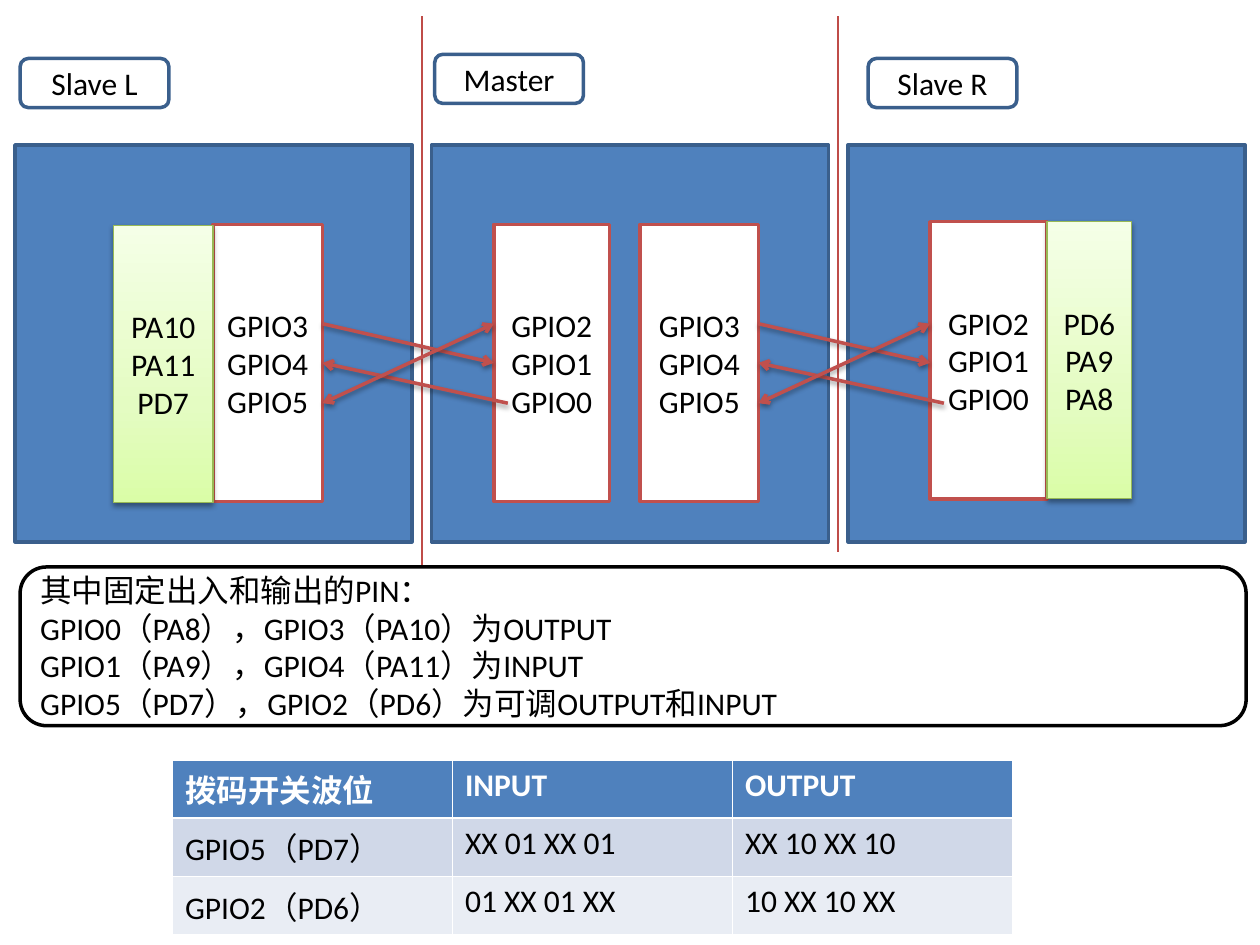
from copy import deepcopy
from lxml.etree import SubElement
from pptx import Presentation
from pptx.dml.color import RGBColor
from pptx.enum.shapes import MSO_CONNECTOR, MSO_SHAPE
from pptx.enum.text import MSO_ANCHOR, PP_ALIGN
from pptx.oxml import parse_xml
from pptx.oxml.ns import qn
from pptx.util import Pt

BLUE, NAVY, RED = "4F81BD", "3A5F8C", "C0504D"
WHITE, BLACK = "FFFFFF", "000000"
GREENS = [(0, "DAFDA7"), (0.35, "E4FCC2"), (1, "F5FFE7")]
SHADOW = (
    '<a:effectLst xmlns:a="http://schemas.openxmlformats.org/drawingml/2006/main">'
    '<a:outerShdw blurRad="39400" dist="20000" dir="5400000" rotWithShape="0">'
    '<a:srgbClr val="000000"><a:alpha val="38000"/></a:srgbClr>'
    '</a:outerShdw></a:effectLst>'
)


def paint(color, code):
    color.rgb = RGBColor.from_string(code)


def style(frame, code=BLACK, align=None, bold=False):
    for para in frame.paragraphs:
        para.alignment = align
        for run in para.runs:
            font = run.font
            font.name, font.size, font.bold = "Calibri", Pt(18), bold
            paint(font.color, code)


def box(slide, kind, rect, fill, line, text="", width=2, align=PP_ALIGN.CENTER):
    shape = slide.shapes.add_shape(kind, *map(Pt, rect))
    shape.shadow.inherit = False
    shape.fill.solid()
    paint(shape.fill.fore_color, fill)
    paint(shape.line.color, line)
    shape.line.width = Pt(width)
    if text:
        frame = shape.text_frame
        frame.text = text
        frame.vertical_anchor = MSO_ANCHOR.MIDDLE
        style(frame, align=align)
    return shape


def shade(shape):
    props = shape._element.spPr
    for old in props.findall(qn("a:effectLst")):
        props.remove(old)
    props.append(parse_xml(SHADOW))


def green(slide, rect, text):
    cell = box(slide, MSO_SHAPE.RECTANGLE, rect, WHITE, "98B955", text, 0.75)
    fill = cell.fill
    fill.gradient()
    fill.gradient_angle = 90
    stops = cell._element.spPr.find(".//" + qn("a:gsLst"))
    stops.insert(1, deepcopy(stops[0]))
    for stop, (place, code) in zip(fill.gradient_stops, GREENS):
        stop.position = place
        paint(stop.color, code)
    shade(cell)


def rule(slide, start, end, code, width):
    line = slide.shapes.add_connector(
        MSO_CONNECTOR.STRAIGHT, *map(Pt, start + end))
    paint(line.line.color, code)
    line.line.width = Pt(width)
    SubElement(line._element.spPr, qn("a:effectLst"))
    return line


def arrow(slide, start, end, both=False):
    line = rule(slide, start, end, RED, 2)
    stroke = line.line._get_or_add_ln()
    for tag in ["a:headEnd"] * both + ["a:tailEnd"]:
        SubElement(stroke, qn(tag), type="arrow")
    shade(line)


def grid(slide, rows, rect):
    table = slide.shapes.add_table(
        len(rows), len(rows[0]), *map(Pt, rect)).table
    fills = [BLUE, "D0D8E8", "E9EDF4"]
    for r, row in enumerate(rows):
        for c, text in enumerate(row):
            cell = table.cell(r, c)
            cell.fill.solid()
            paint(cell.fill.fore_color, fills[r])
            cell.text_frame.text = text
            style(cell.text_frame, BLACK if r else WHITE, bold=r == 0)


def main():
    deck = Presentation()
    deck.slide_width, deck.slide_height = Pt(720), Pt(540)
    slide = deck.slides.add_slide(deck.slide_layouts[6])

    # Boards and the dividers between them
    for n in range(3):
        box(slide, MSO_SHAPE.RECTANGLE, (8.6 + 238 * n, 82.8, 226.8, 226.8),
            BLUE, NAVY)
    for x, foot in [(241.2, 326.9), (478.8, 315.4)]:
        rule(slide, (x, 9.4), (x, foot), "BF4C48", 0.75)

    # Board names
    for name, x, y in [("Master", 248.4, 31), ("Slave L", 11.5, 33.4),
                       ("Slave R", 496.1, 33.4)]:
        box(slide, MSO_SHAPE.ROUNDED_RECTANGLE, (x, y, 85, 28.1),
            WHITE, NAVY, name)

    # Pin blocks
    up, down = "GPIO3\nGPIO4\nGPIO5", "GPIO2\nGPIO1\nGPIO0"
    for x, y, width, pins in [(121.7, 128.2, 62.6, up),
                              (282.2, 128.2, 66.2, down),
                              (365.8, 128.2, 67.7, up),
                              (531.4, 126.7, 67, down)]:
        box(slide, MSO_SHAPE.RECTANGLE, (x, y, width, 158.4),
            WHITE, RED, pins)

    # Signals between neighbouring boards
    top, mid, low = 185, 207.4, 230.4
    for left, right in [(184.3, 282.2), (433.4, 531.4)]:
        arrow(slide, (right + 8, low), (left, mid))
        arrow(slide, (left, top), (right, mid))
        arrow(slide, (left, low), (right, top), both=True)

    # Chip pins
    green(slide, (598.4, 126.7, 48.2, 158.4), "PD6\nPA9\nPA8")
    green(slide, (64.8, 128.9, 56.9, 158.4), "PA10\nPA11\nPD7")

    # Note on pin directions
    note = "\n".join([
        "其中固定出入和输出的PIN：",
        "GPIO0（PA8），GPIO3（PA10）为OUTPUT",
        "GPIO1（PA9），GPIO4（PA11）为INPUT",
        "GPIO5（PD7），GPIO2（PD6）为可调OUTPUT和INPUT",
    ])
    box(slide, MSO_SHAPE.ROUNDED_RECTANGLE, (11.5, 324, 700.6, 90.7),
        WHITE, BLACK, note, align=PP_ALIGN.LEFT)

    # Switch settings
    grid(slide, [
        ["拨码开关波位", "INPUT", "OUTPUT"],
        ["GPIO5（PD7）", "XX 01 XX 01", "XX 10 XX 10"],
        ["GPIO2（PD6）", "01 XX 01 XX", "10 XX 10 XX"],
    ], (98.6, 434.2, 480, 87.6))

    deck.save("out.pptx")


main()
